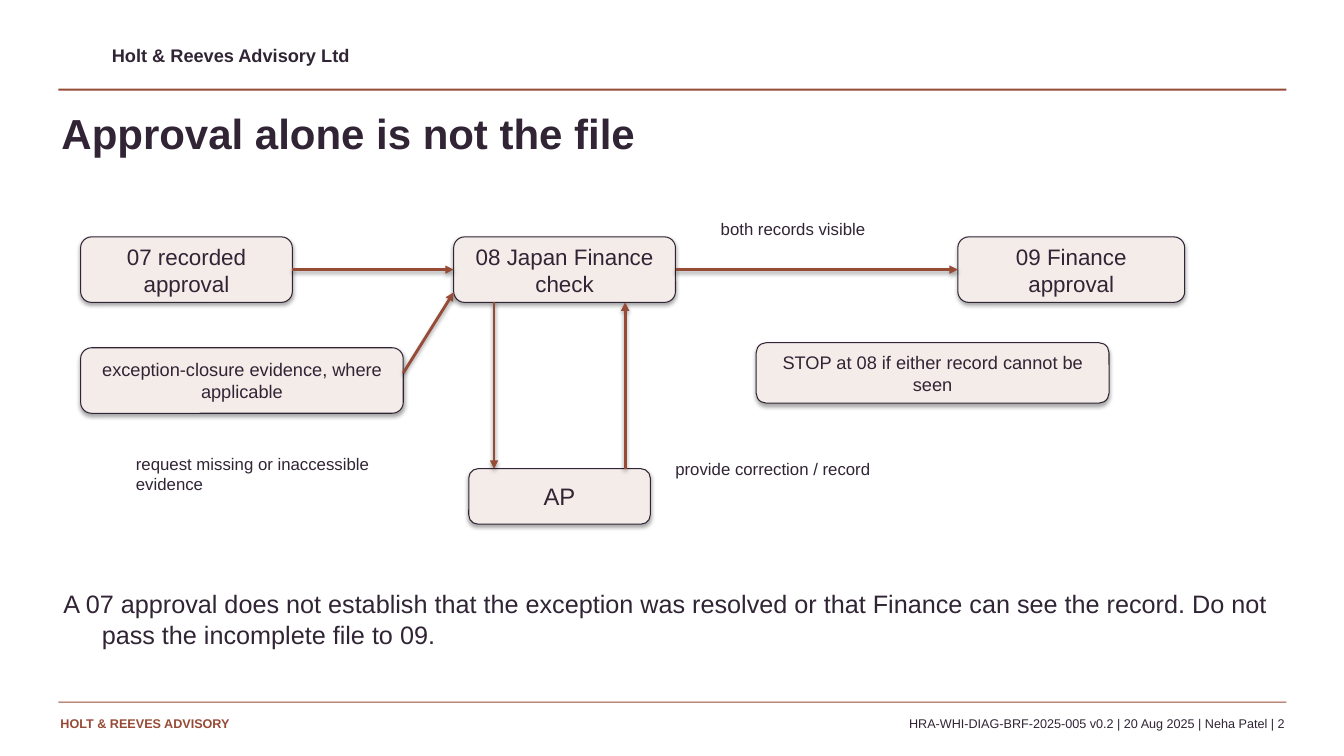
from lxml.etree import SubElement
from pptx import Presentation
from pptx.dml.color import RGBColor
from pptx.enum.shapes import MSO_CONNECTOR as CONN, MSO_SHAPE as SHAPE
from pptx.enum.text import MSO_ANCHOR as ANCHOR, MSO_AUTO_SIZE as FIT, PP_ALIGN as ALIGN
from pptx.oxml.ns import qn
from pptx.util import Pt

PX = 9144  # EMU per px, 100 px to the inch
FONT = "Arial"
COLORS = {"ink": "302435", "rust": "964B37", "blush": "F4ECE8", "black": "000000"}

# Content: places are left, top, width, height in px
RULES = [(58, 88, 1218, 2), (58, 696, 1218, 1)]  # header, footer
TEXTS = [  # text, place, size, colour, bold, alignment, hanging indent
    ("Holt & Reeves Advisory Ltd", (111, 44, 600, 27), 13, "ink", True, ALIGN.LEFT, 0),
    ("Approval alone is not the file", (61, 107, 1200, 78), 30, "ink", True, ALIGN.LEFT, 0),
    ("A 07 approval does not establish that the exception was resolved or that "
     "Finance can see the record. Do not pass the incomplete file to 09.",
     (63, 584, 1194, 80), 18, "ink", False, ALIGN.LEFT, 38),
    ("HOLT & REEVES ADVISORY", (60, 710, 340, 25), 9, "rust", True, ALIGN.LEFT, 0),
    ("HRA-WHI-DIAG-BRF-2025-005 v0.2 | 20 Aug 2025 | Neha Patel | 2",
     (412, 710, 862, 23), 9, "ink", False, ALIGN.RIGHT, 0),
]
BOXES = {  # key: text, place, size
    "07": ("07 recorded approval", (80, 235, 210, 65), 16),
    "08": ("08 Japan Finance check", (450, 235, 220, 65), 16),
    "09": ("09 Finance approval", (950, 235, 225, 65), 16),
    "evidence": ("exception-closure evidence, where applicable", (80, 345, 320, 65), 13),
    "stop": ("STOP at 08 if either record cannot be seen", (750, 340, 350, 60), 13),
    "AP": ("AP", (465, 465, 180, 55), 17),
}
LABELS = [
    ("both records visible", (705, 212, 250, 53)),
    ("request missing or inaccessible evidence", (125, 445, 320, 53)),
    ("provide correction / record", (660, 450, 300, 53)),
]
FLOWS = [("07", "08"), ("08", "09")]  # right side to left side
FREE_ARROWS = [  # start x, y, end x, y
    (400, 370, 450, 290),
    (490, 300, 490, 465),
    (620, 465, 620, 300),
]


def rgb(name):
    return RGBColor.from_string(COLORS[name])


def emu(lengths):
    return [n * PX for n in lengths]


def write(tf, text, size, color="ink", bold=False, align=ALIGN.LEFT):
    tf.word_wrap = True
    p = tf.paragraphs[0]
    p.alignment = align
    r = p.add_run()
    r.text = text
    for name, value in {"name": FONT, "size": Pt(size), "bold": bold}.items():
        setattr(r.font, name, value)
    r.font.color.rgb = rgb(color)
    return p


def add_shadow(spPr, distance, opacity):
    effects = SubElement(spPr, qn("a:effectLst"))
    shadow = SubElement(effects, qn("a:outerShdw"), blurRad=str(Pt(3.1)),
                        dist=str(Pt(distance)), dir="5400000", rotWithShape="0")
    color = SubElement(shadow, qn("a:srgbClr"), val=COLORS["black"])
    SubElement(color, qn("a:alpha"), val=str(opacity * 1000))


def add_box(text, place, size):
    sp = s.shapes.add_shape(SHAPE.ROUNDED_RECTANGLE, *emu(place))
    sp.fill.solid()
    sp.fill.fore_color.rgb = rgb("blush")
    sp.line.color.rgb = rgb("ink")
    sp.line.width = Pt(0.75)
    add_shadow(sp.element.spPr, 1.8, 35)
    sp.text_frame.vertical_anchor = ANCHOR.MIDDLE
    write(sp.text_frame, text, size, align=ALIGN.CENTER)
    return sp


def add_arrow(points):
    c = s.shapes.add_connector(CONN.STRAIGHT, *emu(points))
    c.line.color.rgb = rgb("rust")
    c.line.width = Pt(2)
    SubElement(c.element.spPr.find(qn("a:ln")), qn("a:tailEnd"), type="triangle")
    add_shadow(c.element.spPr, 1.6, 38)
    return c


prs = Presentation()
prs.slide_width, prs.slide_height = emu((1333, 750))
s = prs.slides.add_slide(prs.slide_layouts[6])

# Header and footer rules
for place in RULES:
    sp = s.shapes.add_shape(SHAPE.RECTANGLE, *emu(place))
    sp.shadow.inherit = False
    sp.fill.solid()
    sp.fill.fore_color.rgb = rgb("rust")
    sp.line.fill.background()

# Header, title, body and footer
for text, place, size, color, bold, align, hang in TEXTS:
    tf = s.shapes.add_textbox(*emu(place)).text_frame
    for side in ("left", "top", "right", "bottom"):
        setattr(tf, f"margin_{side}", 0)
    p = write(tf, text, size, color, bold, align)
    if hang:
        pPr = p._p.get_or_add_pPr()
        pPr.set("marL", str(hang * PX))
        pPr.set("indent", str(-hang * PX))

# Diagram boxes
boxes = {key: add_box(*box) for key, box in BOXES.items()}

# Arrows
for start, end in FLOWS:
    c = add_arrow((0, 0, 0, 0))
    c.begin_connect(boxes[start], 3)
    c.end_connect(boxes[end], 1)
for points in FREE_ARROWS:
    add_arrow(points)

# Arrow labels
for text, place in LABELS:
    tf = s.shapes.add_textbox(*emu(place)).text_frame
    write(tf, text, 12)
    tf.auto_size = FIT.SHAPE_TO_FIT_TEXT

prs.save("out.pptx")
